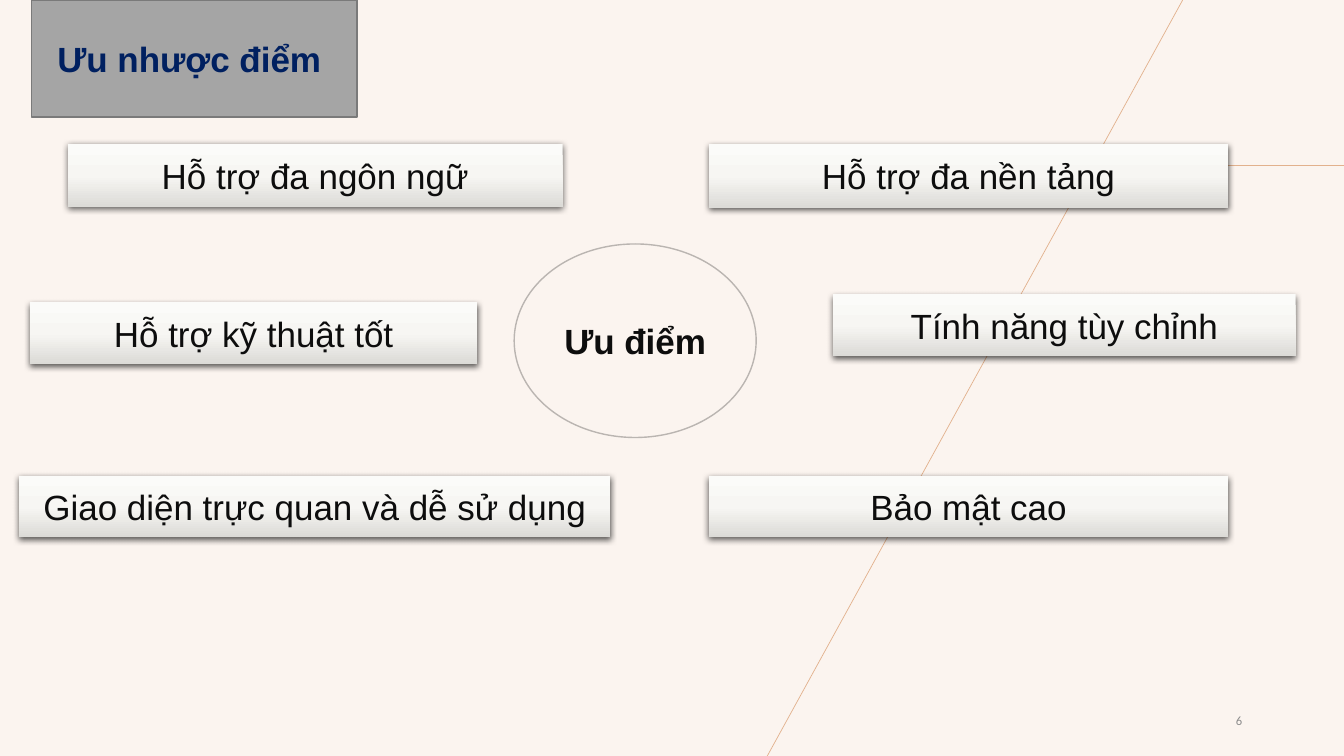
from dataclasses import dataclass

from lxml.etree import SubElement
from pptx import Presentation
from pptx.dml.color import RGBColor
from pptx.enum.shapes import MSO_CONNECTOR, MSO_SHAPE
from pptx.enum.text import MSO_ANCHOR, MSO_AUTO_SIZE, PP_ALIGN
from pptx.oxml.ns import qn
from pptx.util import Inches, Pt

RECT = MSO_SHAPE.RECTANGLE
OVAL = MSO_SHAPE.OVAL
STRAIGHT = MSO_CONNECTOR.STRAIGHT
MIDDLE = MSO_ANCHOR.MIDDLE
FIXED = MSO_AUTO_SIZE.NONE
CENTER = PP_ALIGN.CENTER
RIGHT = PP_ALIGN.RIGHT

PAPER = "FBF4EF"
INK = "0D0D0D"
STOPS = ((0, "FBFBF9"), (50, "F7F6F3"), (100, "DCDBD7"))


@dataclass
class Card:
    text: str
    left: float
    top: float
    width: float
    height: float = 0.61


@dataclass
class Rule:
    x1: float
    y1: float
    x2: float
    y2: float


CARDS = [
    Card("Giao diện trực quan và dễ sử dụng", 0.19, 4.72, 5.86),
    Card("Hỗ trợ đa ngôn ngữ", 0.67, 1.43, 4.91, 0.62),
    Card("Hỗ trợ đa nền tảng", 7.03, 1.43, 5.15, 0.63),
    Card("Tính năng tùy chỉnh", 8.26, 2.92, 4.59),
    Card("Bảo mật cao", 7.03, 4.72, 5.15),
    Card("Hỗ trợ kỹ thuật tốt", 0.3, 3, 4.43),
]
RULES = [Rule(9.95, 1.64, 13.33, 1.64), Rule(11.73, 0, 7.61, 7.5)]


def color(code: str) -> RGBColor:
    return RGBColor.from_string(code)


def write(shape, text: str, code: str = INK, size: float = 25,
          bold: bool = False, font: str = "Arial", align=CENTER) -> None:
    frame = shape.text_frame
    frame.text = text
    frame.word_wrap = True
    frame.auto_size = FIXED
    frame.vertical_anchor = MIDDLE
    line = frame.paragraphs[0]
    line.alignment = align
    face = line.runs[0].font
    face.name = font
    face.size = Pt(size)
    face.bold = bold
    face.color.rgb = color(code)


def paint(shape, fill: str, edge: str) -> None:
    shape.fill.solid()
    shape.fill.fore_color.rgb = color(fill)
    shape.line.color.rgb = color(edge)
    shape.line.width = Pt(1)


def place(shape, left: float, top: float, width: float, height: float) -> None:
    shape.left, shape.top = Inches(left), Inches(top)
    shape.width, shape.height = Inches(width), Inches(height)


def shade(shape) -> None:
    shape.fill.gradient()
    shape.fill.gradient_angle = 270
    props = shape._element.spPr
    stops = props.find(".//" + qn("a:gsLst"))
    for stop in list(stops):
        stops.remove(stop)
    for spot, code in STOPS:
        stop = SubElement(stops, qn("a:gs"), pos=str(spot * 1000))
        SubElement(stop, qn("a:srgbClr"), val=code)
    shape.shadow.inherit = False
    glow = SubElement(props.find(qn("a:effectLst")), qn("a:outerShdw"),
                      blurRad=str(Pt(4.5)), dist=str(Pt(1.5)),
                      dir="5400000", algn="ctr", rotWithShape="0")
    tint = SubElement(glow, qn("a:srgbClr"), val="000000")
    SubElement(tint, qn("a:alpha"), val="63000")


def add_rule(slide, rule: Rule) -> None:
    line = slide.shapes.add_connector(
        STRAIGHT, Inches(rule.x1), Inches(rule.y1),
        Inches(rule.x2), Inches(rule.y2))
    line.line.color.rgb = color("E2B18D")
    line.line.width = Pt(0.5)
    SubElement(line._element.spPr, qn("a:effectLst"))


def add_title(slide) -> None:
    title = slide.shapes.title
    place(title, 0.31, 0, 3.23, 1.16)
    form = SubElement(title._element.spPr, qn("a:prstGeom"), prst="rightArrow")
    SubElement(form, qn("a:avLst"))
    paint(title, "A5A5A5", "7A7A7A")
    write(title, "Ưu nhược điểm ", "002060", bold=True)


def add_hub(slide) -> None:
    hub = slide.shapes.add_shape(
        OVAL, Inches(5.1), Inches(2.42), Inches(2.4), Inches(1.92))
    hub.shadow.inherit = False
    paint(hub, PAPER, "BAB5B1")
    write(hub, "Ưu điểm", bold=True)


def add_card(slide, card: Card) -> None:
    box = slide.shapes.add_shape(
        RECT, Inches(card.left), Inches(card.top),
        Inches(card.width), Inches(card.height))
    box.line.fill.background()
    shade(box)
    write(box, card.text)


def add_page(slide) -> None:
    page = slide.shapes.add_textbox(
        Inches(9.42), Inches(6.95), Inches(3), Inches(0.4))
    write(page, "6", "8C8C8C", 9, font="Calibri", align=RIGHT)


def main() -> None:
    deck = Presentation()
    deck.slide_width, deck.slide_height = Inches(13.33), Inches(7.5)
    slide = deck.slides.add_slide(deck.slide_layouts[5])
    slide.background.fill.solid()
    slide.background.fill.fore_color.rgb = color(PAPER)
    for rule in RULES:
        add_rule(slide, rule)
    add_page(slide)
    add_title(slide)
    add_hub(slide)
    for card in CARDS:
        add_card(slide, card)
    deck.save("out.pptx")


if __name__ == "__main__":
    main()
